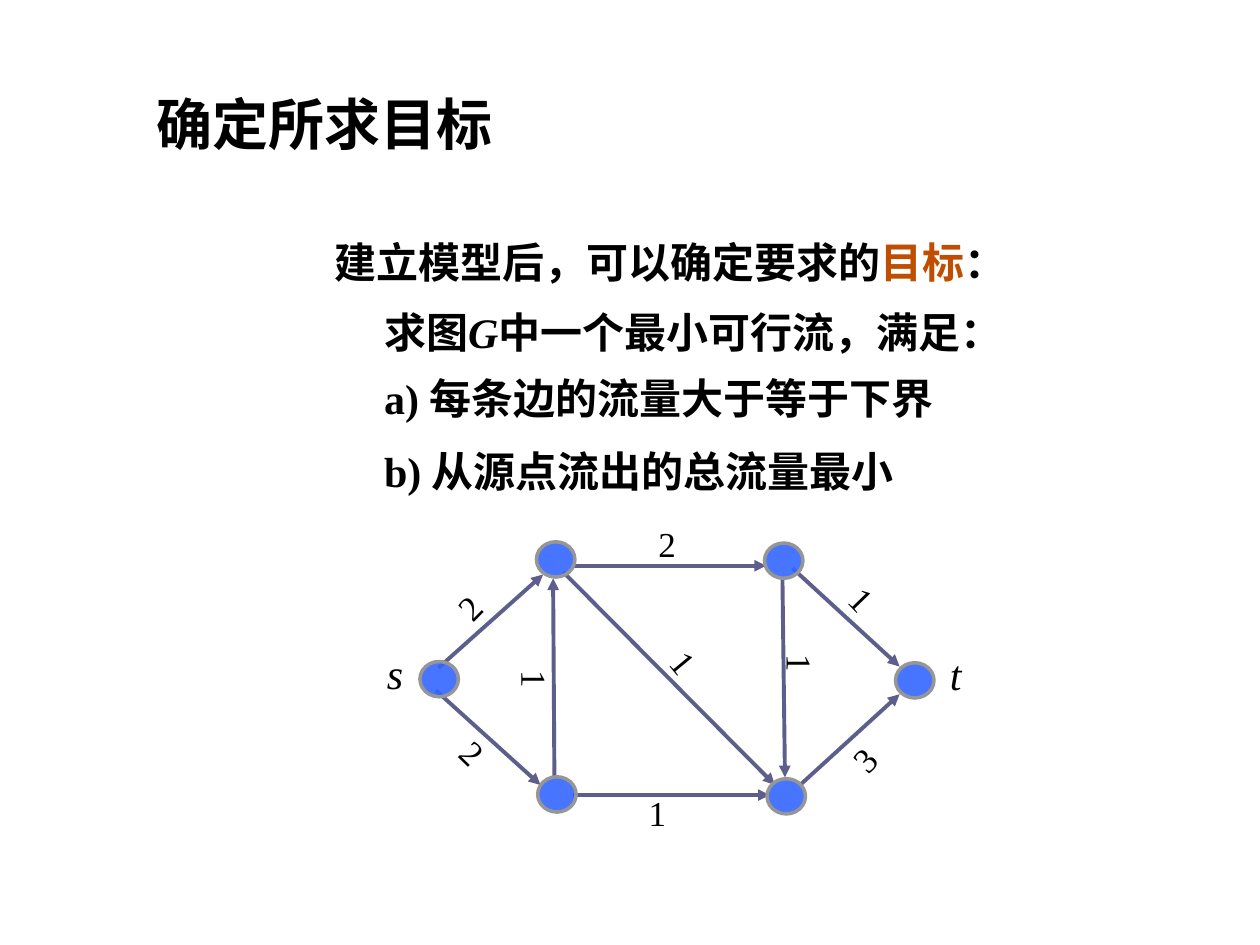
import pptx
import pptx.util
import pptx.dml.color
import pptx.enum.shapes
import pptx.enum.text
import pptx.oxml.ns
from lxml import etree

RGBColor = pptx.dml.color.RGBColor
BLACK = RGBColor(0x00, 0x00, 0x00)
ORANGE = RGBColor(0xC0, 0x4E, 0x00)
NODE_FILL = RGBColor(0x33, 0x66, 0xFF)
NODE_LINE = RGBColor(0x96, 0x96, 0x96)
EDGE = RGBColor(0x5E, 0x5E, 0x8C)

FONT = "Times New Roman"
COLUMNS, ROWS = 100, 75
NODE_W, NODE_H = 3.05, 2.8

# Node centres, in columns and rows
SINK = (72.6, 54)
INNER_NODES = [(62.2, 44.5), (34.85, 53.9), (62.4, 63.2), (44.2, 63.05), (44.1, 44.4)]

# Start and end of each arrow
EDGES = [
    ((34.6, 54.8), (42.9, 62.3)),
    ((34.8, 53), (43.1, 45.6)),
    ((44, 61.6), (43.9, 45.9)),
    ((45.5, 44.9), (60.8, 44.9)),
    ((45.5, 63.1), (61.1, 63.1)),
    ((62.1, 45.9), (62.3, 61.7)),
    ((44.7, 45.4), (61.5, 62.3)),
    ((62.9, 45.1), (71.4, 52.9)),
    ((63.5, 62.3), (71.4, 55.1)),
]

# Lower bound, left, top, width, rotation
BOUNDS = [
    ("2", 50.5, 41, 4.9, 0),
    ("1", 50.5, 62.3, 3.2, 0),
    ("3", 67, 58.3, 2.8, 313.6),
    ("1", 65.4, 45.4, 6, 45.9),
    ("2", 35.4, 46, 3.7, 314.5),
    ("2", 35.6, 57.6, 3.8, 44.2),
    ("1", 40.7, 51.7, 3.5, 90),
    ("1", 52.6, 50.3, 3.2, 50.4),
    ("1", 61.3, 50.4, 4.4, 90),
]

# Left, top, width and runs of each statement
STATEMENTS = [
    (25.6, 18.3, 59.1, [("建立模型后，可以确定要求的", {}),
                        ("目标", {"color": ORANGE}), ("：", {})]),
    (29.5, 23.8, 57.5, [("求图", {}), ("G", {"italic": True}),
                        ("中一个最小可行流，满足：", {})]),
    (29.5, 29.1, 48, [("a) 每条边的流量大于等于下界", {})]),
    (29.5, 34.9, 49.6, [("b) 从源点流出的总流量最小", {})]),
]


def add_run(p, text, size=24, color=BLACK, bold=False, italic=False):
    r = p.add_run()
    r.text = text
    r.font.name = FONT
    r.font.size = pptx.util.Pt(size)
    r.font.color.rgb = color
    r.font.bold = bold
    r.font.italic = italic


class FlowSlide:
    """Places elements on one slide, measured in columns and rows."""

    def __init__(self, prs):
        self.slide = prs.slides.add_slide(prs.slide_layouts[6])
        self.column = prs.slide_width / COLUMNS
        self.row = prs.slide_height / ROWS

    def x(self, columns):
        return round(columns * self.column)

    def y(self, rows):
        return round(rows * self.row)

    def text(self, runs, left, top, width, height=5, rotation=0, centred=False,
             middle=False, **style):
        """Runs are pairs of text and the format that differs from style."""
        sp = self.slide.shapes.add_textbox(
            self.x(left), self.y(top), self.x(width), self.y(height))
        sp.rotation = rotation
        tf = sp.text_frame
        tf.word_wrap = True
        if middle:
            tf.vertical_anchor = pptx.enum.text.MSO_ANCHOR.MIDDLE
        p = tf.paragraphs[0]
        if centred:
            p.alignment = pptx.enum.text.PP_ALIGN.CENTER
        for words, own in runs:
            add_run(p, words, **{**style, **own})

    def node(self, centre):
        cx, cy = centre
        sp = self.slide.shapes.add_shape(
            pptx.enum.shapes.MSO_SHAPE.OVAL,
            self.x(cx - NODE_W / 2), self.y(cy - NODE_H / 2),
            self.x(NODE_W), self.y(NODE_H))
        sp.shadow.inherit = False
        sp.fill.solid()
        sp.fill.fore_color.rgb = NODE_FILL
        sp.line.color.rgb = NODE_LINE
        sp.line.width = pptx.util.Pt(2)
        colour = sp.fill._xPr.find(".//" + pptx.oxml.ns.qn("a:srgbClr"))
        etree.SubElement(colour, pptx.oxml.ns.qn("a:alpha"), val="90000")

    def edge(self, start, end):
        line = self.slide.shapes.add_connector(
            pptx.enum.shapes.MSO_CONNECTOR.STRAIGHT,
            self.x(start[0]), self.y(start[1]), self.x(end[0]), self.y(end[1]))
        line.line.color.rgb = EDGE
        line.line.width = pptx.util.Pt(2.25)
        etree.SubElement(line.line._get_or_add_ln(),
                         pptx.oxml.ns.qn("a:tailEnd"), type="triangle")
        etree.SubElement(line._element.spPr, pptx.oxml.ns.qn("a:effectLst"))


def main():
    prs = pptx.Presentation()
    prs.slide_width = pptx.util.Inches(10)
    prs.slide_height = pptx.util.Inches(7.5)
    s = FlowSlide(prs)

    s.text([("确定所求目标", {})], 11.4, 5.7, 55.9, 8.2,
           middle=True, size=32, bold=True)
    for left, top, width, runs in STATEMENTS:
        s.text(runs, left, top, width, bold=True)

    for name, left, top in [("s", 28.9, 50.9), ("t", 73.4, 51)]:
        s.text([(name, {})], left, top, 4.9, centred=True, italic=True)
    for bound, left, top, width, rotation in BOUNDS:
        s.text([(bound, {})], left, top, width, 4.4, rotation,
               centred=True, size=20)

    s.node(SINK)
    for start, end in EDGES:
        s.edge(start, end)
    for centre in INNER_NODES:
        s.node(centre)

    prs.save("out.pptx")


if __name__ == "__main__":
    main()
